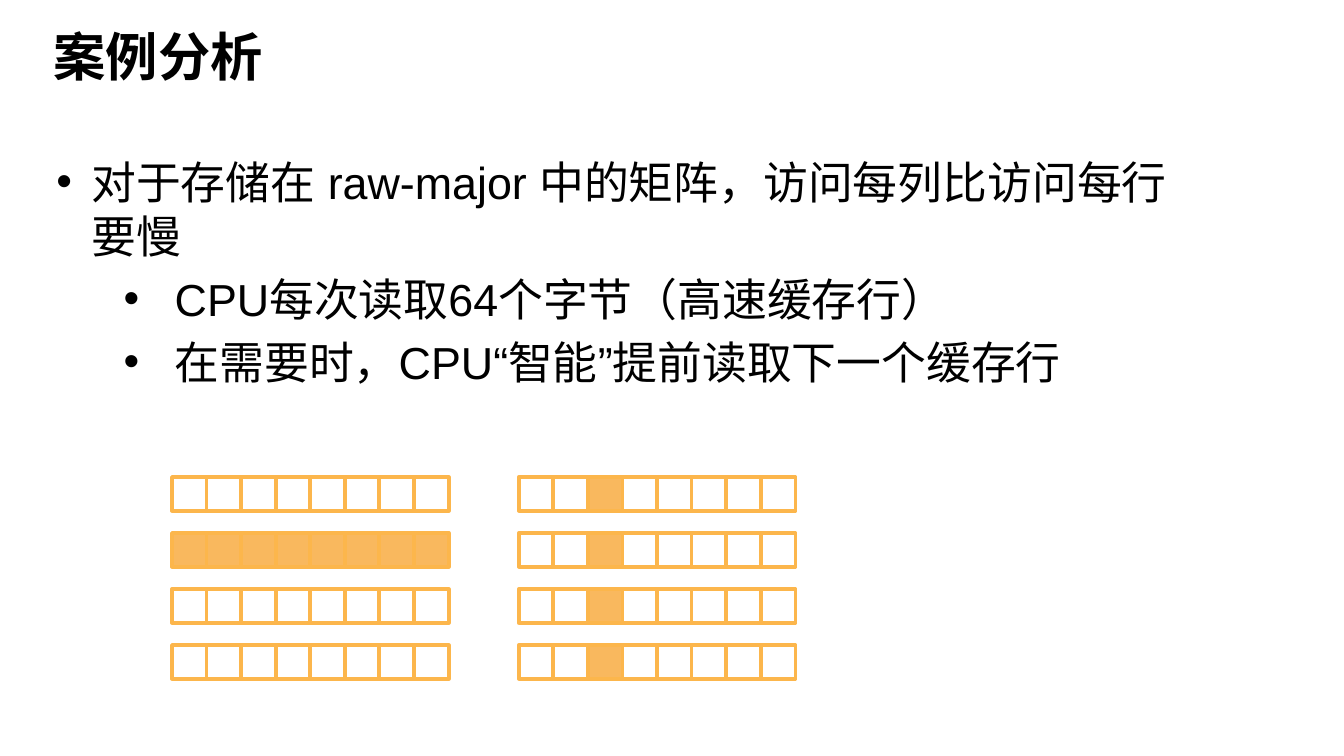
from lxml import etree
from pptx import Presentation
from pptx.dml.color import RGBColor
from pptx.enum import shapes, text
from pptx.oxml.ns import qn
from pptx.util import Inches, Pt

BLACK = RGBColor(0x00, 0x00, 0x00)
WHITE = RGBColor(0xFF, 0xFF, 0xFF)
ORANGE = RGBColor(0xF9, 0xB8, 0x5E)
BORDER = RGBColor(0xFC, 0xB6, 0x4C)
FONT = "Arial"
SLIDE_WIDTH = 10
SLIDE_HEIGHT = SLIDE_WIDTH * 9 / 16

TITLE = "案例分析"
# text, level, left margin, hanging indent
POINTS = [
    ("对于存储在 raw-major 中的矩阵，访问每列比访问每行要慢", 0, 0.26, 0.26),
    ("CPU每次读取64个字节（高速缓存行）", 1, 0.88, 0.38),
    ("在需要时，CPU“智能”提前读取下一个缓存行", 1, 0.88, 0.38),
]

ROWS, COLUMNS = 4, 8
MATRIX_TOP = 3.55
ROW_STEP = 1.25 / (ROWS - 1)
COLUMN_STEP = 1.8 / (COLUMNS - 1)
CELL_WIDTH, CELL_HEIGHT = 0.26, 0.25
# left edge, highlighted row, highlighted column
MATRICES = [(1.28, 1, None), (3.86, None, 2)]


def add_text_box(page, left, top, width, height):
    box = page.shapes.add_textbox(*map(Inches, (left, top, width, height)))
    frame = box.text_frame
    frame.word_wrap = True
    frame.vertical_anchor = text.MSO_ANCHOR.TOP
    frame.margin_left = frame.margin_right = Inches(0.05)
    frame.margin_top = frame.margin_bottom = Inches(0.05)
    return frame


def add_span(para, words, size, bold=False):
    span = para.add_run()
    span.text = words
    span.font.name = FONT
    span.font.size = Pt(size)
    span.font.bold = bold
    span.font.color.rgb = BLACK
    east_asian = etree.SubElement(span.font._element, qn("a:ea"))
    east_asian.set("typeface", FONT)


def add_bullet(para, margin, hanging):
    properties = para._p.get_or_add_pPr()
    properties.set("marL", str(Inches(margin)))
    properties.set("indent", str(-Inches(hanging)))
    etree.SubElement(properties, qn("a:buFont")).set("typeface", FONT)
    etree.SubElement(properties, qn("a:buChar")).set("char", "•")


def add_matrix(page, left, marked_row, marked_column):
    group = page.shapes.add_group_shape()
    for row in range(ROWS):
        for column in range(COLUMNS):
            cell = group.shapes.add_shape(
                shapes.MSO_SHAPE.RECTANGLE,
                Inches(left + column * COLUMN_STEP),
                Inches(MATRIX_TOP + row * ROW_STEP),
                Inches(CELL_WIDTH), Inches(CELL_HEIGHT))
            marked = row == marked_row or column == marked_column
            cell.shadow.inherit = False
            cell.fill.solid()
            cell.fill.fore_color.rgb = ORANGE if marked else WHITE
            cell.line.color.rgb = BORDER
            cell.line.width = Pt(2)


def main():
    deck = Presentation()
    deck.slide_width = Inches(SLIDE_WIDTH)
    deck.slide_height = Inches(SLIDE_HEIGHT)
    page = deck.slides.add_slide(deck.slide_layouts[6])

    title = add_text_box(page, 0.35, 0.13, 8.97, 0.6)
    add_span(title.paragraphs[0], TITLE, 28, bold=True)

    body = add_text_box(page, 0.37, 1.1, 8.63, 3.89)
    for index, (words, level, margin, hanging) in enumerate(POINTS):
        para = body.add_paragraph() if index else body.paragraphs[0]
        para.level = level
        add_bullet(para, margin, hanging)
        if index:
            para.space_before = Pt(5)
        add_span(para, words, 24)

    for matrix in MATRICES:
        add_matrix(page, *matrix)

    deck.save("out.pptx")


if __name__ == "__main__":
    main()
